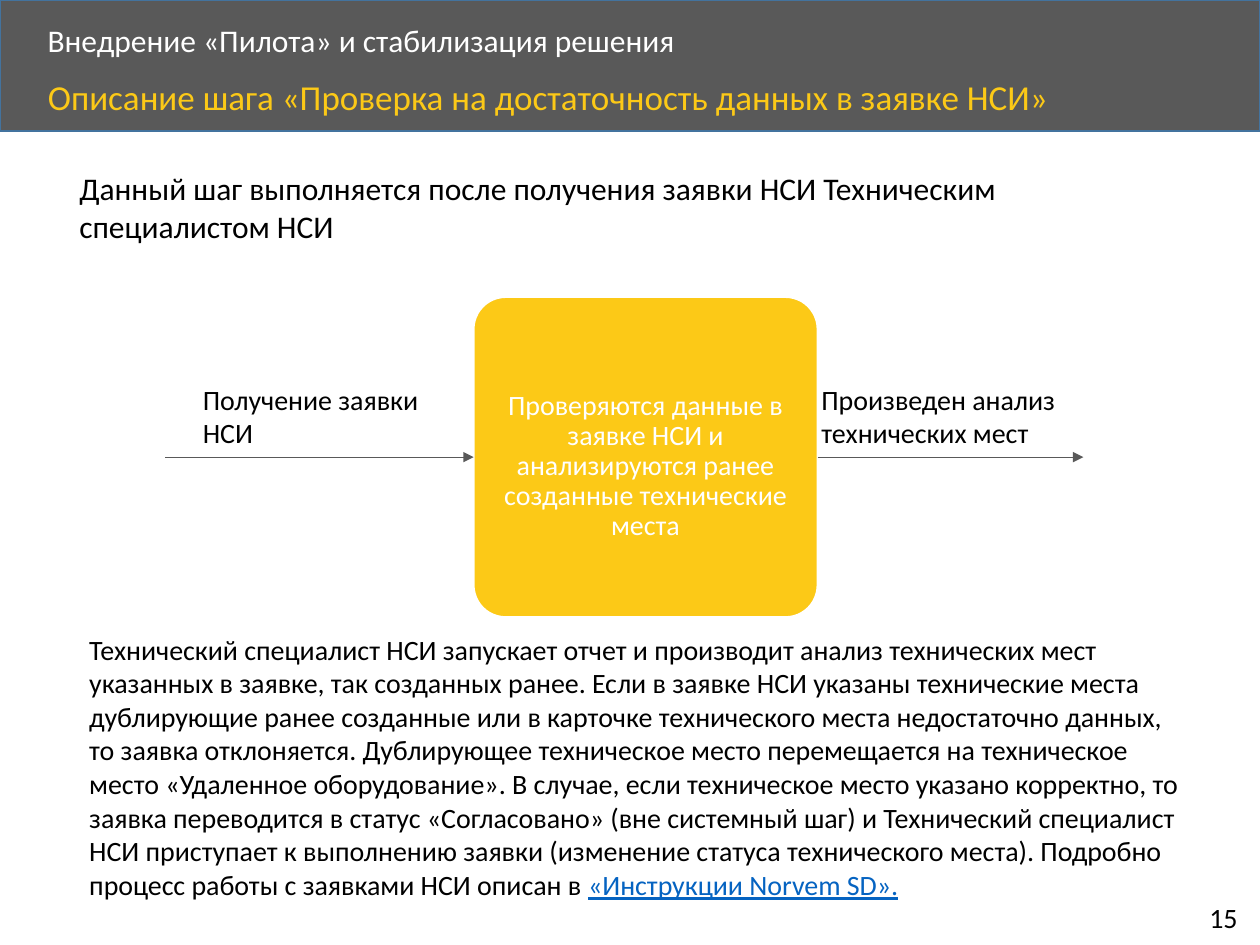
from lxml import etree
from pptx import Presentation
from pptx.dml.color import RGBColor
from pptx.enum.shapes import MSO_CONNECTOR, MSO_SHAPE
from pptx.enum.text import MSO_ANCHOR, MSO_AUTO_SIZE, PP_ALIGN
from pptx.oxml.ns import qn
from pptx.util import Cm, Pt

RECT, ROUND_RECT = MSO_SHAPE.RECTANGLE, MSO_SHAPE.ROUNDED_RECTANGLE
STRAIGHT = MSO_CONNECTOR.STRAIGHT
TOP, MIDDLE = MSO_ANCHOR.TOP, MSO_ANCHOR.MIDDLE
LEFT, CENTER = PP_ALIGN.LEFT, PP_ALIGN.CENTER
NO_FIT = MSO_AUTO_SIZE.NONE
LEFT_SIDE, RIGHT_SIDE = 1, 3

FONT = "Calibri"
GREY = RGBColor(0x59, 0x59, 0x59)
BLUE = RGBColor(0x43, 0x73, 0x9E)
YELLOW = RGBColor(0xFC, 0xC9, 0x17)
LINK = RGBColor(0x05, 0x63, 0xC1)
WHITE = RGBColor(0xFF, 0xFF, 0xFF)
BLACK = RGBColor(0, 0, 0)


def write(sp, text, size, color, align=LEFT, anchor=TOP, spacing=None):
    tf = sp.text_frame
    tf.word_wrap = True
    tf.auto_size = NO_FIT
    tf.vertical_anchor = anchor
    p = tf.paragraphs[0]
    p.text = text
    p.alignment = align
    p.line_spacing = spacing
    p.font.name = FONT
    p.font.size = Pt(size)
    p.font.color.rgb = color
    return p


def add_text(s, x, y, w, h, text, size, color=BLACK, **options):
    sp = s.shapes.add_textbox(Cm(x), Cm(y), Cm(w), Cm(h))
    return write(sp, text, size, color, **options)


def add_box(s, kind, x, y, w, h, fill, line):
    sp = s.shapes.add_shape(kind, Cm(x), Cm(y), Cm(w), Cm(h))
    sp.shadow.inherit = False
    sp.fill.solid()
    sp.fill.fore_color.rgb = fill
    sp.line.color.rgb = line
    sp.line.width = Pt(1)
    return sp


def add_arrow(s, x1, x2, y):
    arrow = s.shapes.add_connector(STRAIGHT, Cm(x1), Cm(y), Cm(x2), Cm(y))
    arrow.line.color.rgb = GREY
    arrow.line.width = Pt(0.5)
    etree.SubElement(arrow.line._get_or_add_ln(), qn("a:tailEnd"), type="triangle")
    etree.SubElement(arrow._element.spPr, qn("a:effectLst"))
    return arrow


def add_header(s, x, y, w, h):
    band = add_box(s, RECT, x, y, w, h, GREY, BLUE)
    s.shapes._spTree.insert(2, band._element)
    add_text(s, x + 0.71, y + 0.36, 20.5, 0.97,
             "Внедрение «Пилота» и стабилизация решения",
             18, WHITE, anchor=MIDDLE, spacing=0.9)
    title = s.shapes.title
    title.left, title.top = Cm(x + 0.71), Cm(y + 1.5)
    title.width, title.height = Cm(22.02), Cm(1.14)
    write(title, "Описание шага «Проверка на достаточность данных в заявке НСИ»",
          20, YELLOW, spacing=0.9)


def add_process(s, x, y, w, h):
    step_x, step_w = x + 6.22, 6.93
    step_right = step_x + step_w
    mid = y + h / 2
    step = add_box(s, ROUND_RECT, step_x, y, step_w, h, YELLOW, WHITE)
    step.adjustments[0] = 0.1
    tf = step.text_frame
    tf.margin_left = tf.margin_right = tf.margin_bottom = 0
    tf.margin_top = Cm(0.38)
    write(step, "Проверяются данные в заявке НСИ и анализируются ранее "
          "созданные технические места",
          16, WHITE, align=CENTER, anchor=MIDDLE, spacing=0.9)

    add_arrow(s, x, step_x, mid).end_connect(step, LEFT_SIDE)
    add_arrow(s, step_right, x + w, mid).begin_connect(step, RIGHT_SIDE)

    label_h = 1.63
    add_text(s, x + 0.51, mid - label_h, 5.92, label_h, "Получение заявки НСИ", 16)
    add_text(s, step_right - 0.17, mid - label_h, 6.43, label_h,
             "Произведен анализ технических мест", 16)


def add_description(s, x, y, w, h):
    p = add_text(
        s, x, y, w, h,
        "Технический специалист НСИ запускает отчет и производит анализ "
        "технических мест указанных в заявке, так созданных ранее. Если в заявке "
        "НСИ указаны технические места дублирующие ранее созданные или в карточке "
        "технического места недостаточно данных, то заявка отклоняется. "
        "Дублирующее техническое место перемещается на техническое место "
        "«Удаленное оборудование». В случае, если техническое место указано "
        "корректно, то заявка переводится в статус «Согласовано» (вне системный "
        "шаг) и Технический специалист НСИ приступает к выполнению заявки "
        "(изменение статуса технического места). Подробно процесс работы "
        "c заявками НСИ описан в ", 16)
    r = p.add_run()
    r.text = "«Инструкции Norvem SD»."
    r.font.color.rgb = LINK
    r.font.underline = True


def main():
    prs = Presentation()
    prs.slide_width, prs.slide_height = Cm(25.4), Cm(19.05)
    s = prs.slides.add_slide(prs.slide_layouts[5])
    add_header(s, 0, 0, 25.4, 2.64)
    add_text(s, 1.35, 3.28, 22.56, 1.8,
             "Данный шаг выполняется после получения заявки НСИ "
             "Техническим специалистом НСИ", 18)
    add_process(s, 3.33, 5.99, 18.51, 6.45)
    add_description(s, 1.55, 12.62, 22.56, 6.4)
    add_text(s, 24.13, 18.03, 1.17, 0.94, "15", 16)
    prs.save("out.pptx")


if __name__ == "__main__":
    main()
